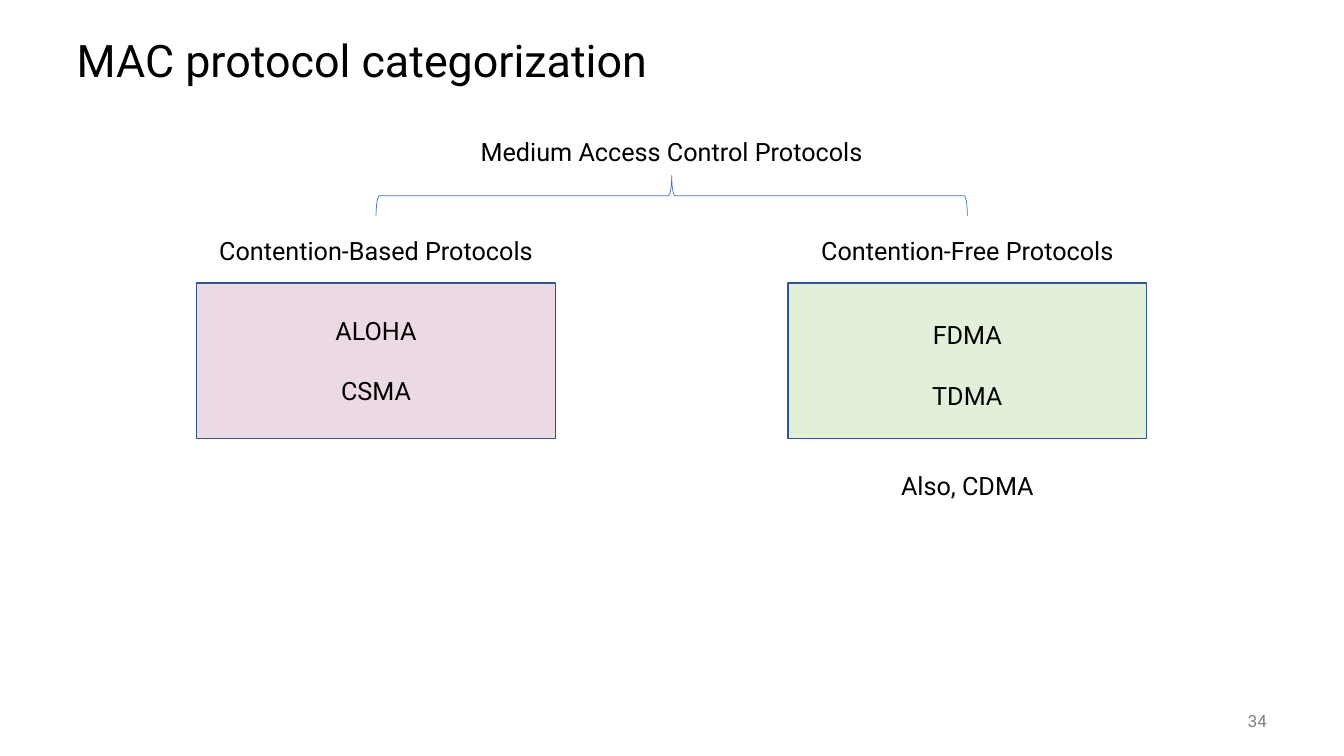
from dataclasses import dataclass

from pptx import Presentation
from pptx.dml.color import RGBColor
from pptx.enum.shapes import MSO_SHAPE as Preset
from pptx.enum.text import MSO_ANCHOR as Anchor, MSO_AUTO_SIZE as AutoSize, PP_ALIGN as Align
from pptx.shapes.autoshape import Shape
from pptx.slide import Slide
from pptx.text.text import TextFrame
from pptx.util import Pt


@dataclass(frozen=True)
class Theme:
    font: str = "Roboto"
    text: str = "000000"
    muted: str = "808080"
    outline: str = "325491"
    brace: str = "4472C4"
    contention: str = "EBDAE3"
    scheduled: str = "E2F0D9"
    title_size: float = 32
    body_size: float = 18
    number_size: float = 12


@dataclass(frozen=True)
class Box:
    left: float
    top: float
    width: float
    height: float

    def lengths(self) -> tuple[Pt, Pt, Pt, Pt]:
        return Pt(self.left), Pt(self.top), Pt(self.width), Pt(self.height)


@dataclass(frozen=True)
class Line:
    text: str
    space_before: float = 0


@dataclass(frozen=True)
class Category:
    heading: str
    center: float
    fill: str
    protocols: list[Line]
    text_top: float
    text_height: float


THEME = Theme()
CENTER = 479.8
BRANCH = 211.2
HEADING_WIDTH = 309.6
HEADING_HEIGHT = 29
PANEL_WIDTH = 256.3
BLANK_LINE = 21.4

CATEGORIES = [
    Category("Contention-Based Protocols", CENTER - BRANCH, THEME.contention,
             [Line("ALOHA"), Line("CSMA", BLANK_LINE)], 221.8, 72.7),
    Category("Contention-Free Protocols", CENTER + BRANCH, THEME.scheduled,
             [Line("FDMA"), Line("TDMA", BLANK_LINE), Line("Also, CDMA", 2 * BLANK_LINE)],
             224.8, 138),
]


def centered(center: float, top: float, width: float, height: float) -> Box:
    return Box(center - width / 2, top, width, height)


def write(frame: TextFrame, lines: list[Line], size: float, color: str,
          align: Align, anchor: Anchor) -> None:
    frame.word_wrap = True
    frame.auto_size = AutoSize.NONE
    frame.vertical_anchor = anchor
    for index, line in enumerate(lines):
        paragraph = frame.add_paragraph() if index else frame.paragraphs[0]
        paragraph.alignment = align
        paragraph.space_before = Pt(line.space_before)
        run = paragraph.add_run()
        run.text = line.text
        run.font.name = THEME.font
        run.font.size = Pt(size)
        run.font.color.rgb = RGBColor.from_string(color)


def add_text(slide: Slide, box: Box, lines: list[Line], size: float = THEME.body_size,
             color: str = THEME.text, align: Align = Align.CENTER,
             anchor: Anchor = Anchor.TOP) -> None:
    write(slide.shapes.add_textbox(*box.lengths()).text_frame, lines, size, color, align, anchor)


def add_outlined(slide: Slide, preset: Preset, box: Box, color: str, width: float) -> Shape:
    shape = slide.shapes.add_shape(preset, *box.lengths())
    shape.shadow.inherit = False
    shape.fill.background()
    shape.line.color.rgb = RGBColor.from_string(color)
    shape.line.width = Pt(width)
    return shape


def add_title(slide: Slide, text: str) -> None:
    title = slide.shapes.title
    title.left, title.top, title.width, title.height = Box(47.5, 18, 864, 54).lengths()
    write(title.text_frame, [Line(text)], THEME.title_size, THEME.text, Align.LEFT, Anchor.MIDDLE)
    title.text_frame.paragraphs[0].line_spacing = 0.9


def add_category(slide: Slide, category: Category) -> None:
    panel = add_outlined(slide, Preset.RECTANGLE,
                         centered(category.center, 202.3, PANEL_WIDTH, 111), THEME.outline, 1)
    panel.fill.solid()
    panel.fill.fore_color.rgb = RGBColor.from_string(category.fill)
    add_text(slide, centered(category.center, 164.2, HEADING_WIDTH, HEADING_HEIGHT),
             [Line(category.heading)])
    add_text(slide, centered(category.center, category.text_top, PANEL_WIDTH,
                             category.text_height), category.protocols)


def add_brace(slide: Slide) -> None:
    """Draw the upright brace that, once turned, spans both categories."""
    depth, span, middle = 28.8, 2 * BRANCH, 139.8
    brace = add_outlined(slide, Preset.RIGHT_BRACE,
                         centered(CENTER, middle - span / 2, depth, span), THEME.brace, 0.5)
    brace.rotation = 270


def main() -> None:
    presentation = Presentation()
    presentation.slide_width, presentation.slide_height = Pt(960), Pt(540)
    slide = presentation.slides.add_slide(presentation.slide_layouts.get_by_name("Title Only"))
    add_title(slide, "MAC protocol categorization")
    add_text(slide, centered(CENTER, 93.8, HEADING_WIDTH, HEADING_HEIGHT),
             [Line("Medium Access Control Protocols")])
    add_brace(slide)
    for category in CATEGORIES:
        add_category(slide, category)
    add_text(slide, Box(840, 500.4, 72, 28.8), [Line("34")], THEME.number_size,
             THEME.muted, Align.RIGHT, Anchor.MIDDLE)
    presentation.save("out.pptx")


if __name__ == "__main__":
    main()
